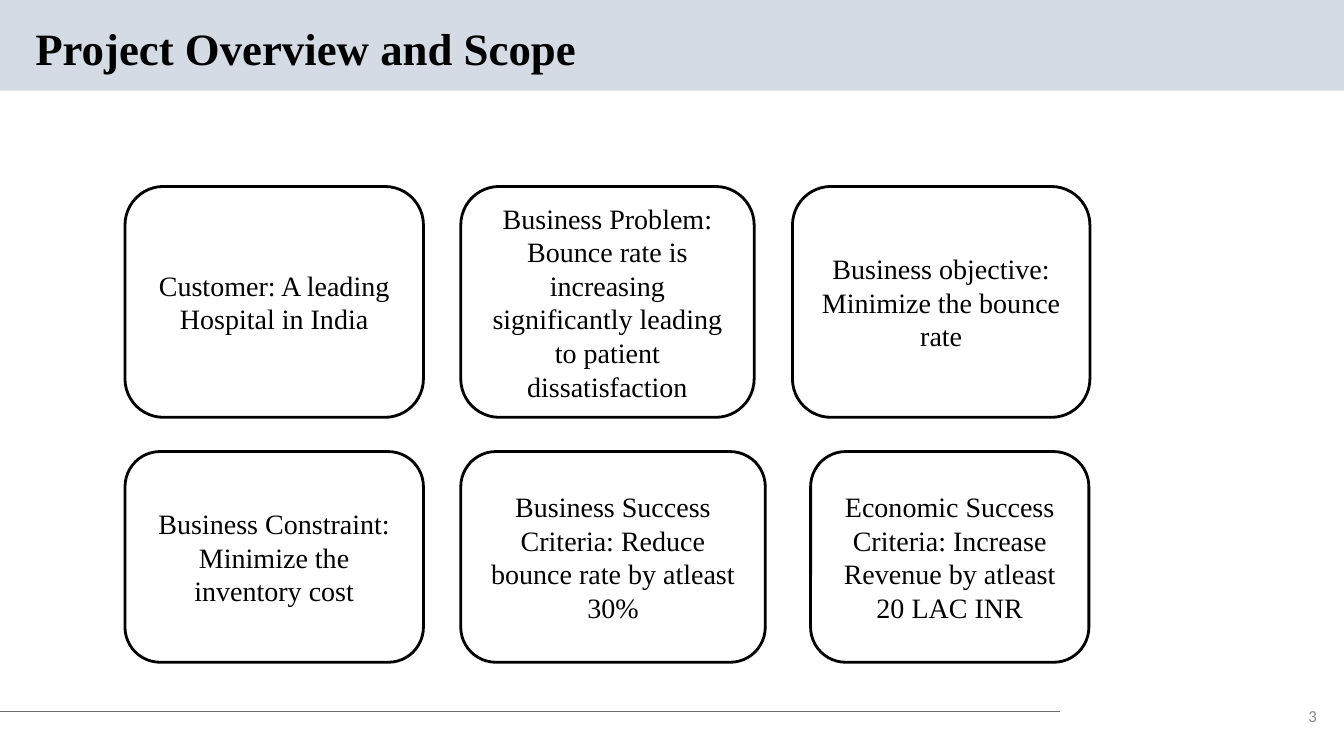
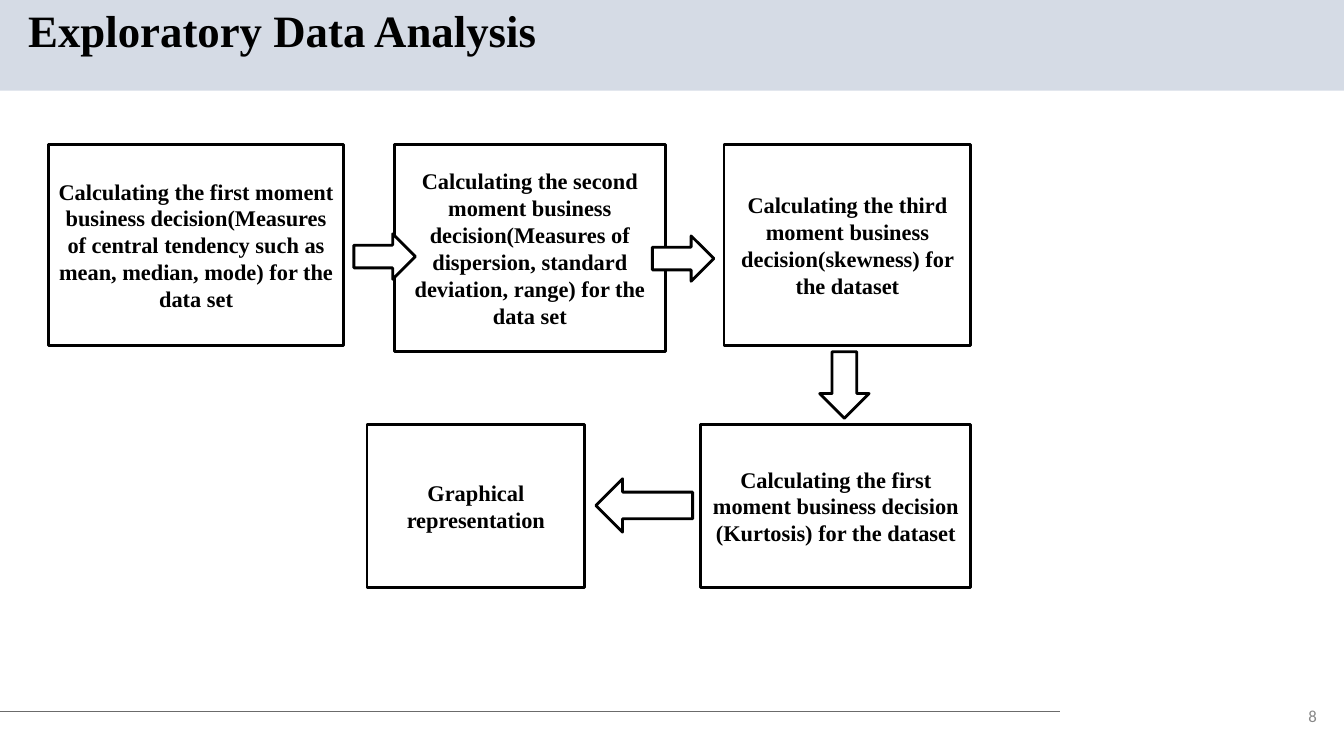
from lxml import etree
from pptx import Presentation
from pptx.dml.color import RGBColor
from pptx.enum.shapes import MSO_CONNECTOR, MSO_SHAPE
from pptx.enum.text import MSO_ANCHOR, PP_ALIGN
from pptx.oxml.ns import qn
from pptx.util import Inches, Pt

RECT = MSO_SHAPE.RECTANGLE
ROUNDED = MSO_SHAPE.ROUNDED_RECTANGLE
RIGHT, DOWN, LEFT = MSO_SHAPE.RIGHT_ARROW, MSO_SHAPE.DOWN_ARROW, MSO_SHAPE.LEFT_ARROW
STRAIGHT = MSO_CONNECTOR.STRAIGHT
MIDDLE = MSO_ANCHOR.MIDDLE
ALIGN_LEFT, ALIGN_CENTER, ALIGN_RIGHT = PP_ALIGN.LEFT, PP_ALIGN.CENTER, PP_ALIGN.RIGHT

COLORS = {"band": "D5DBE5", "rule": "6B6B6B", "ink": "000000",
          "paper": "FFFFFF", "number": "888888"}
SERIF, SANS = "Times New Roman", "Calibri"
TITLE_ONLY = 5

# Scope cards: (left, width, text) per row
SCOPE_ROWS = [
    (1.85, 2.29, [
        (1.24, 2.96, "Customer: A leading Hospital in India"),
        (4.57, 2.91, "Business Problem: Bounce rate is increasing significantly "
                     "leading to patient dissatisfaction"),
        (7.86, 2.95, "Business objective: Minimize the bounce rate"),
    ]),
    (4.48, 2.09, [
        (1.24, 2.96, "Business Constraint: Minimize the inventory cost"),
        (4.57, 3.02, "Business Success Criteria: Reduce bounce rate by atleast 30%"),
        (8.04, 2.76, "Economic Success Criteria: Increase Revenue by atleast 20 LAC INR"),
    ]),
]

# Analysis steps and the arrows between them
STEPS = [
    ((0.48, 1.43, 2.93, 2), "Calculating the first moment business decision(Measures of "
                            "central tendency such as mean, median, mode) for the data set"),
    ((3.91, 1.43, 2.69, 2.06), "Calculating the second moment business decision(Measures of "
                               "dispersion, standard deviation, range) for the data set"),
    ((7.18, 1.43, 2.45, 2), "Calculating the third moment business decision(skewness) "
                            "for the dataset"),
    ((6.95, 4.21, 2.68, 1.62), "Calculating the first moment business decision (Kurtosis) "
                               "for the dataset"),
    ((3.64, 4.21, 2.16, 1.62), "Graphical representation"),
]
ARROWS = [
    (RIGHT, (3.51, 2.32, 0.61, 0.45)),
    (RIGHT, (6.47, 2.34, 0.61, 0.45)),
    (DOWN, (8.13, 3.49, 0.49, 0.66)),
    (LEFT, (5.91, 4.75, 0.96, 0.53)),
]


def color(name):
    return RGBColor.from_string(COLORS[name])


def write(box, text, size, align, bold=False, font=SERIF, ink="ink"):
    frame = box.text_frame
    frame.text = text
    frame.word_wrap = True
    frame.vertical_anchor = MIDDLE
    para = frame.paragraphs[0]
    para.alignment = align
    style = para.runs[0].font
    style.name, style.size, style.bold = font, Pt(size), bold
    style.color.rgb = color(ink)
    return para


def add_block(page, kind, place, fill="paper", outline="ink"):
    block = page.shapes.add_shape(kind, *map(Inches, place))
    block.shadow.inherit = False
    block.fill.solid()
    block.fill.fore_color.rgb = color(fill)
    if outline:
        block.line.color.rgb = color(outline)
        block.line.width = Pt(2)
    else:
        block.line.fill.background()
    return block


def add_card(page, kind, place, text, size, bold=False):
    write(add_block(page, kind, place), text, size, ALIGN_CENTER, bold)


def add_rule(page):
    rule = page.shapes.add_connector(STRAIGHT, 0, Inches(7.06), Inches(10.51), Inches(7.06))
    rule.line.color.rgb = color("rule")
    rule.line.width = Pt(0.75)
    etree.SubElement(rule.element.spPr, qn("a:effectLst"))
    return rule


def decorate_layout(page):
    """Move the shared band and rule behind the layout's title."""
    band = add_block(page, RECT, (0, 0, 13.33, 0.9), "band", None)
    layout_title = page.slide_layout.placeholders[0]
    for part in (band, add_rule(page)):
        layout_title.element.addprevious(part.element)


def add_page(deck, title, left, top, number):
    page = deck.slides.add_slide(deck.slide_layouts[TITLE_ONLY])
    heading = page.shapes.title
    heading.left, heading.top = Inches(left), Inches(top)
    heading.width, heading.height = Inches(11.5), Inches(0.59)
    write(heading, title, 32, ALIGN_LEFT, bold=True).line_spacing = 0.9
    number_box = page.shapes.add_textbox(*map(Inches, (12.73, 6.94, 0.43, 0.32)))
    write(number_box, number, 12, ALIGN_RIGHT, font=SANS, ink="number")
    return page


def build_scope(deck):
    page = add_page(deck, "Project Overview and Scope", 0.25, 0.21, "3")
    decorate_layout(page)
    for top, height, cards in SCOPE_ROWS:
        for left, width, text in cards:
            add_card(page, ROUNDED, (left, top, width, height), text, 20)


def build_analysis(deck):
    page = add_page(deck, "Exploratory Data Analysis", 0.18, 0.03, "8")
    for place, text in STEPS:
        add_card(page, RECT, place, text, 16, bold=True)
    for kind, place in ARROWS:
        add_block(page, kind, place)


def main():
    deck = Presentation()
    deck.slide_width, deck.slide_height = Inches(13.33), Inches(7.5)
    build_scope(deck)
    build_analysis(deck)
    deck.save("out.pptx")


if __name__ == "__main__":
    main()
